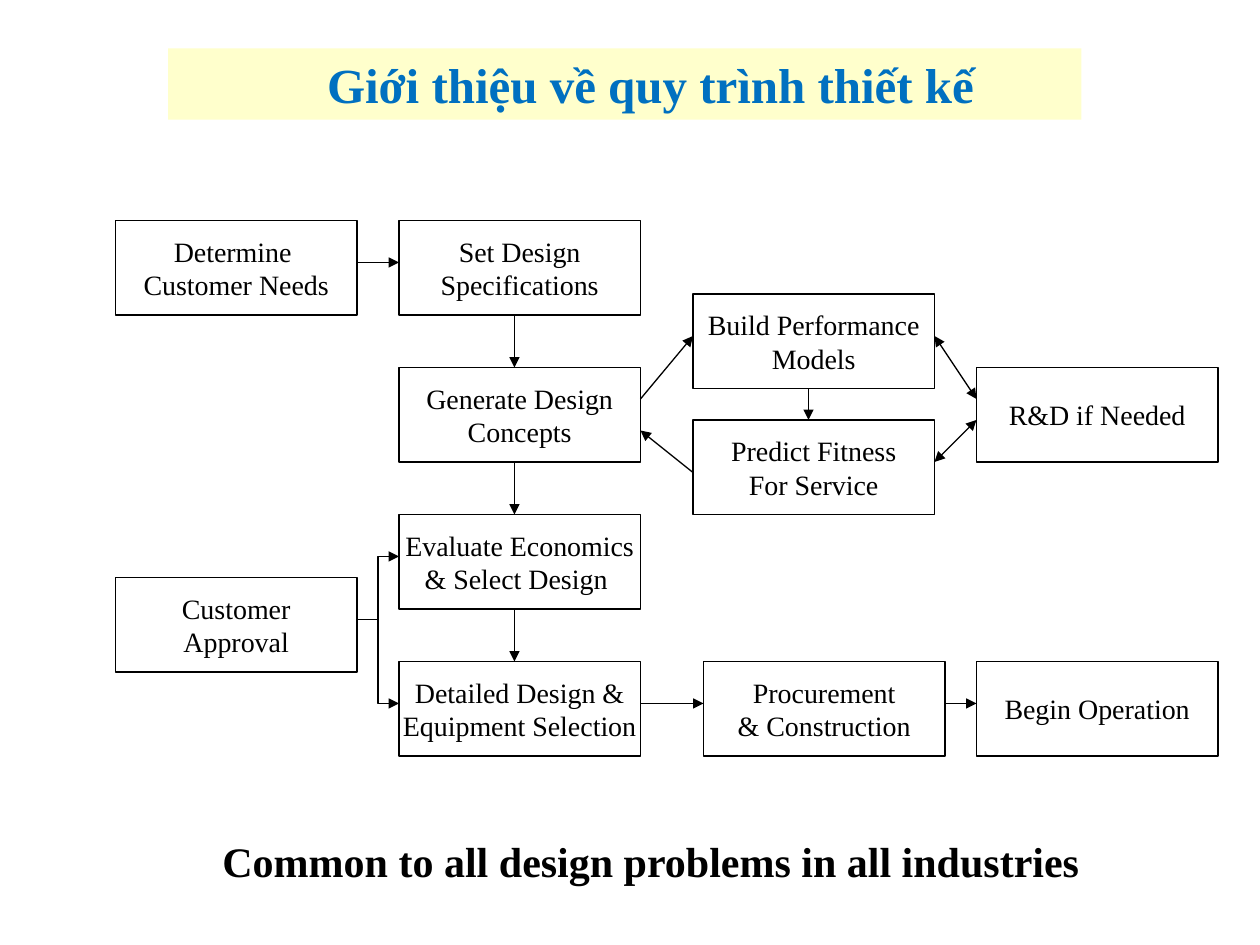
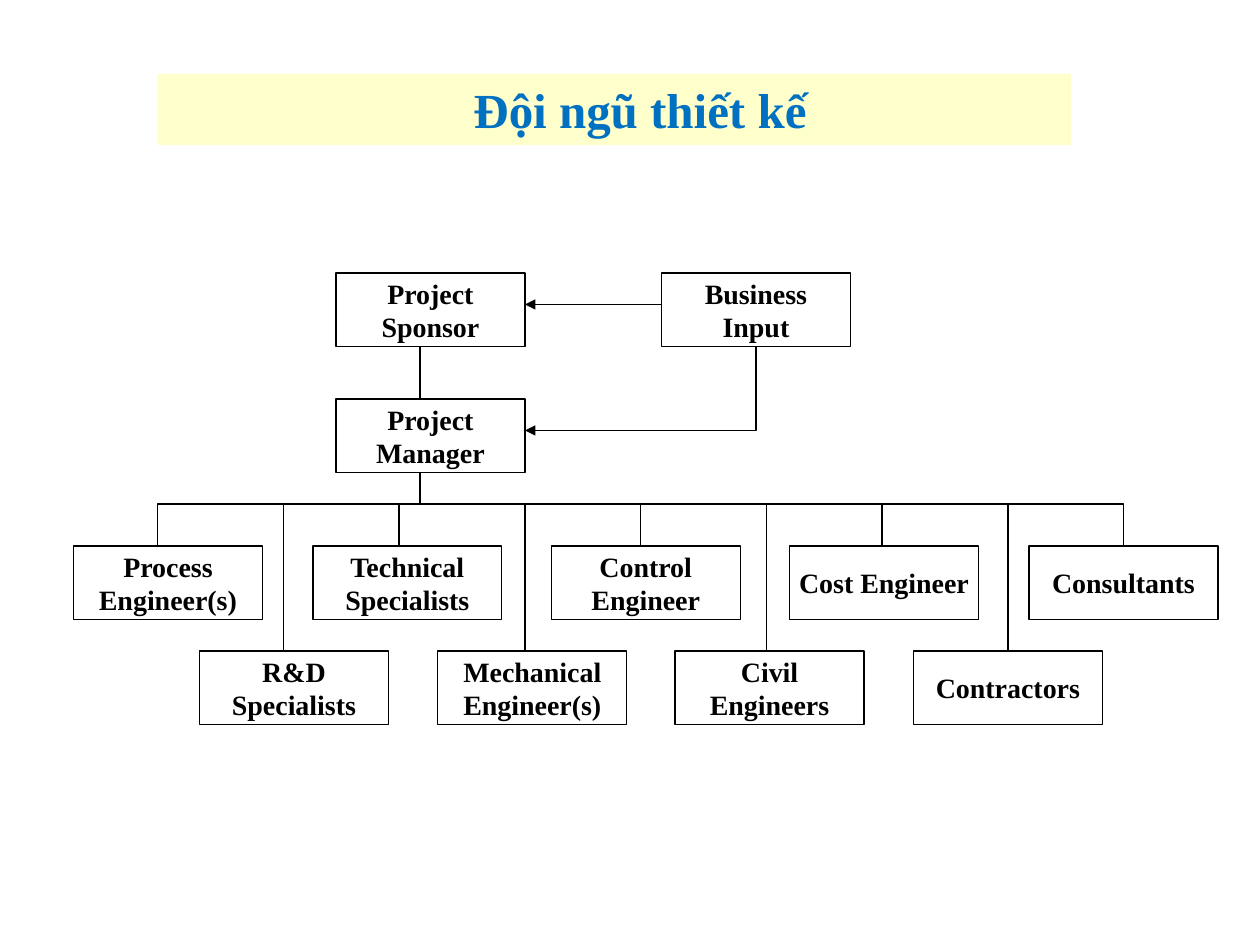
import pptx
import pptx.dml.color
import pptx.enum.shapes
import pptx.enum.text
import pptx.oxml.ns
import pptx.util
from lxml import etree

PX = pptx.util.Inches(1) // 120  # 120 px to the inch
FONT = "Times New Roman"
COLORS = {"ink": "000000", "paper": "FFFFFF", "band": "FFFFCC", "title": "0070C0"}
TITLE_SIZE = (870, 68)
ALIGN = pptx.enum.text.PP_ALIGN
ANCHOR = pptx.enum.text.MSO_ANCHOR


def color(name):
    return pptx.dml.color.RGBColor.from_string(COLORS[name])


def write_text(shape, text, size=16, bold=False, ink="ink", align=ALIGN.CENTER,
               anchor=ANCHOR.MIDDLE, wrap=False, indent=0):
    frame = shape.text_frame
    frame.text = text
    frame.word_wrap = wrap
    frame.auto_size = pptx.enum.text.MSO_AUTO_SIZE.NONE
    frame.vertical_anchor = anchor
    for paragraph in frame.paragraphs:
        paragraph.alignment = align
        if indent:
            properties = paragraph._p.get_or_add_pPr()
            properties.set("marL", str(indent * PX))
            properties.set("indent", "0")
        font = paragraph.runs[0].font
        font.name, font.size, font.bold = FONT, pptx.util.Pt(size), bold
        font.color.rgb = color(ink)


def draw_line(shape, head=False, tail=False):
    shape.line.color.rgb = color("ink")
    shape.line.width = pptx.util.Pt(0.75)
    ends = {"headEnd": head, "tailEnd": tail}
    for tag, shown in ends.items():
        if shown:
            end = etree.SubElement(shape.line._get_or_add_ln(), pptx.oxml.ns.qn(f"a:{tag}"))
            end.set("type", "triangle")


def add_box(slide, area, spot, size, text, bold=False):
    left, top = area[0] + spot[0], area[1] + spot[1]
    box = slide.shapes.add_shape(pptx.enum.shapes.MSO_SHAPE.RECTANGLE,
                                 left * PX, top * PX, size[0] * PX, size[1] * PX)
    box.shadow.inherit = False
    box.fill.solid()
    box.fill.fore_color.rgb = color("paper")
    draw_line(box)
    write_text(box, text, bold=bold)


def add_link(slide, area, start, end, **ends):
    x, y = area[:2]
    link = slide.shapes.add_connector(
        pptx.enum.shapes.MSO_CONNECTOR.STRAIGHT,
        (x + start[0]) * PX, (y + start[1]) * PX, (x + end[0]) * PX, (y + end[1]) * PX)
    draw_line(link, **ends)
    etree.SubElement(link._element.spPr, pptx.oxml.ns.qn("a:effectLst"))


def add_bent_link(slide, area, points, **ends):
    corners = [(area[0] + x, area[1] + y) for x, y in points]
    builder = slide.shapes.build_freeform(*corners[0], scale=PX)
    builder.add_line_segments(corners[1:], close=False)
    bend = builder.convert_to_shape()
    bend.shadow.inherit = False
    bend.fill.background()
    draw_line(bend, **ends)


def add_titled_slide(deck, title, left, top):
    slide = deck.slides.add_slide(deck.slide_layouts[5])
    band = slide.shapes.title
    band.left, band.top = left * PX, top * PX
    band.width, band.height = (side * PX for side in TITLE_SIZE)
    band.fill.solid()
    band.fill.fore_color.rgb = color("band")
    write_text(band, title, size=28, bold=True, ink="title",
               anchor=ANCHOR.TOP, wrap=True, indent=49)
    return slide


def design_process(slide, area):
    size = (230, 90)
    main_column, row_step = 270, 140
    main_steps = ["Set Design\nSpecifications", "Generate Design\nConcepts",
                  "Evaluate Economics\n& Select Design ",
                  "Detailed Design &\nEquipment Selection"]
    side_steps = {
        "Determine \nCustomer Needs": (0, 0),
        "Customer\nApproval": (0, 340),
        "Build Performance\nModels": (550, 70),
        "Predict Fitness\nFor Service": (550, 190),
        "R&D if Needed": (820, 140),
        "Procurement\n& Construction": (560, 420),
        "Begin Operation": (820, 420),
    }
    # Steps
    for row, step in enumerate(main_steps):
        add_box(slide, area, (main_column, row * row_step), size, step)
    for step, spot in side_steps.items():
        add_box(slide, area, spot, size, step)

    # Arrows down the main column
    for row in range(len(main_steps) - 1):
        bottom = row * row_step + size[1]
        add_link(slide, area, (380, bottom), (380, (row + 1) * row_step), tail=True)

    # One-way and two-way arrows between columns
    one_way = [((230, 40), (270, 40)), ((500, 460), (560, 460)),
               ((790, 460), (820, 460)), ((500, 170), (550, 110)),
               ((660, 160), (660, 190)), ((550, 240), (500, 200))]
    for start, end in one_way:
        add_link(slide, area, start, end, tail=True)
    for start, end in [((780, 110), (820, 170)), ((780, 230), (820, 190))]:
        add_link(slide, area, start, end, head=True, tail=True)

    # Customer approval branches to two steps
    add_bent_link(slide, area, [(230, 380), (250, 380), (250, 320), (270, 320)], tail=True)
    add_bent_link(slide, area, [(250, 380), (250, 460), (270, 460)], tail=True)


def closing_line(slide, area, text):
    closing = slide.shapes.add_textbox(*(length * PX for length in area))
    write_text(closing, text, size=24, bold=True, align=ALIGN.LEFT, anchor=ANCHOR.TOP)


def design_team(slide, area):
    size = (180, 70)
    width = area[2]
    rail, upper_row, lower_row = 220, 260, 360
    # Leadership
    leaders = {"Project\nSponsor": (250, 0), "Project\nManager": (250, 120),
               "Business\nInput": (560, 0)}
    for leader, spot in leaders.items():
        add_box(slide, area, spot, size, leader, bold=True)

    # Team members in two staggered rows: first left, last left, top
    upper = ["Process\nEngineer(s)", "Technical\nSpecialists", "Control\nEngineer",
             "Cost Engineer", "Consultants"]
    lower = ["R&D\nSpecialists", "Mechanical\nEngineer(s)", "Civil\nEngineers", "Contractors"]
    for members, first, last, top in [(upper, 0, width - size[0], upper_row),
                                      (lower, 120, 800, lower_row)]:
        step = (last - first) / (len(members) - 1)
        for column, member in enumerate(members):
            add_box(slide, area, (round(first + column * step), top), size, member, bold=True)

    # Rail and its stems
    add_bent_link(slide, area, [(80, upper_row), (80, rail), (1000, rail), (1000, upper_row)])
    for first, count, top in [(310, 3, upper_row), (200, 4, lower_row)]:
        for column in range(count):
            x = first + column * 230
            add_link(slide, area, (x, top), (x, rail))

    # Reporting lines
    add_link(slide, area, (330, 70), (330, 120))
    add_link(slide, area, (330, rail), (330, 190))
    add_link(slide, area, (560, 30), (430, 30), tail=True)
    add_bent_link(slide, area, [(650, 70), (650, 150), (430, 150)], tail=True)


def main():
    deck = pptx.Presentation()
    deck.slide_width, deck.slide_height = 1200 * PX, 900 * PX

    process = add_titled_slide(deck, "Giới thiệu về quy trình thiết kế", 160, 46)
    design_process(process, (110, 210, 1050, 510))
    closing_line(process, (200, 790, 841, 60),
                 "Common to all design problems in all industries")

    team = add_titled_slide(deck, "Đội ngũ thiết kế", 150, 70)
    design_team(team, (70, 260, 1090, 430))
    deck.save("out.pptx")


if __name__ == "__main__":
    main()
